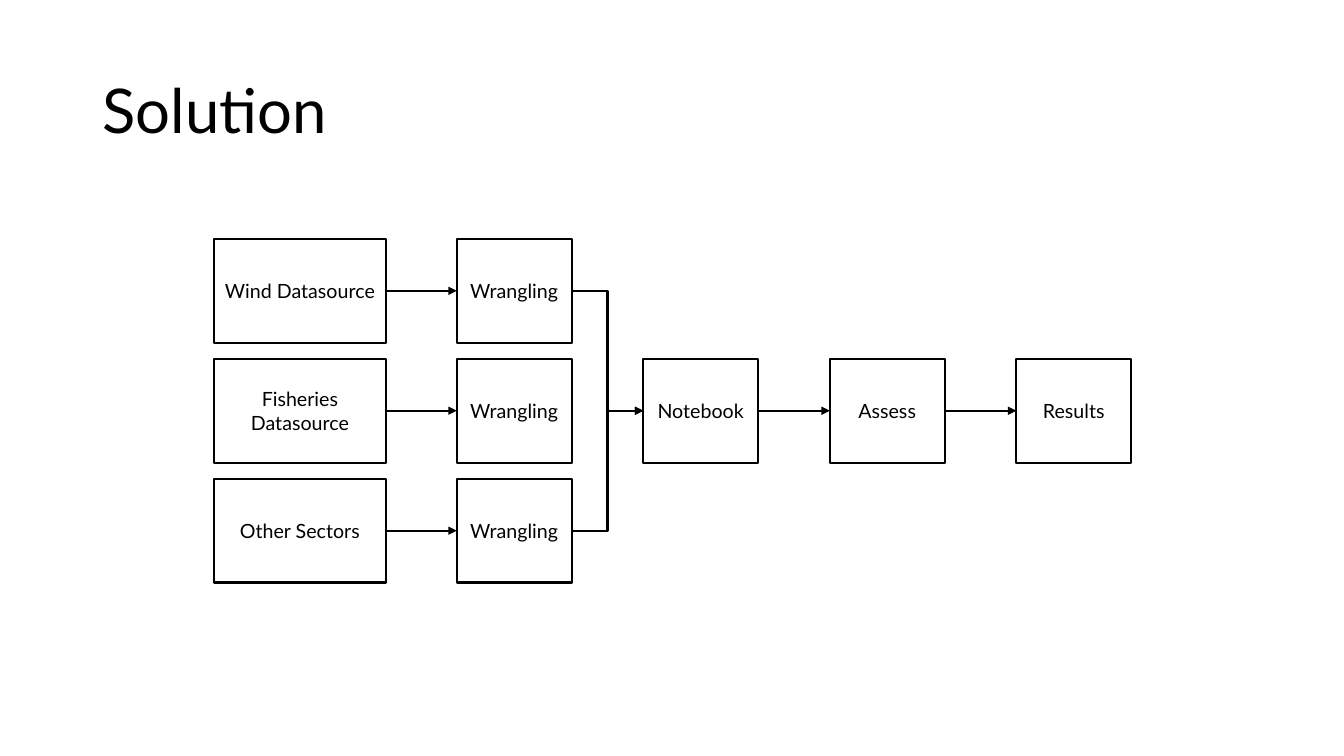
from dataclasses import dataclass

from pptx import Presentation
from pptx.dml.color import RGBColor
from pptx.enum.shapes import MSO_CONNECTOR, MSO_SHAPE
from pptx.enum.text import MSO_ANCHOR, PP_ALIGN
from pptx.oxml.ns import qn
from pptx.util import Inches, Pt
from lxml import etree

RECT = MSO_SHAPE.RECTANGLE
STRAIGHT, ELBOW = MSO_CONNECTOR.STRAIGHT, MSO_CONNECTOR.ELBOW
MIDDLE = MSO_ANCHOR.MIDDLE
LEFT, CENTER = PP_ALIGN.LEFT, PP_ALIGN.CENTER
LEFT_SIDE, RIGHT_SIDE = 1, 3


@dataclass(frozen=True)
class Theme:
    ink: RGBColor = RGBColor(0, 0, 0)
    paper: RGBColor = RGBColor(255, 255, 255)
    font: str = "Lato"
    title: Pt = Pt(44)
    label: Pt = Pt(14)
    line: Pt = Pt(1.5)


THEME = Theme()

# Flow grid, in inches
TOP, HEIGHT, ROW_STEP = 2.37, 1.03, 1.19
SOURCE_LEFT, SOURCE_WIDTH = 2.12, 1.71
STEP_LEFT, STEP_WIDTH, GAP = 4.53, 1.14, 0.71
SOURCES = ["Wind Datasource", "Fisheries Datasource", "Other Sectors"]
STAGES = ["Notebook", "Assess", "Results"]


def apply(target, values):
    for name, value in values.items():
        setattr(target, name, value)


def write(shape, text, size, align):
    frame = shape.text_frame
    apply(frame, {"word_wrap": True, "vertical_anchor": MIDDLE})
    para = frame.paragraphs[0]
    para.alignment = align
    run = para.add_run()
    run.text = text
    apply(run.font, {"name": THEME.font, "size": size})
    run.font.color.rgb = THEME.ink
    return para


def stroke(line):
    line.color.rgb = THEME.ink
    line.width = THEME.line


def add_title(slide, text):
    box = slide.shapes.add_textbox(
        Inches(0.92), Inches(0.4), Inches(11.5), Inches(1.45))
    write(box, text, THEME.title, LEFT).line_spacing = 0.9


def add_box(slide, text, left, row, width):
    box = slide.shapes.add_shape(
        RECT, Inches(left), Inches(TOP + row * ROW_STEP),
        Inches(width), Inches(HEIGHT))
    box.shadow.inherit = False
    box.fill.solid()
    box.fill.fore_color.rgb = THEME.paper
    stroke(box.line)
    write(box, text, THEME.label, CENTER)
    return box


def add_step(slide, text, column, row):
    left = STEP_LEFT + column * (STEP_WIDTH + GAP)
    return add_box(slide, text, left, row, STEP_WIDTH)


def add_arrow(slide, start, end, kind=STRAIGHT):
    arrow = slide.shapes.add_connector(kind, 0, 0, 0, 0)
    arrow.begin_connect(start, RIGHT_SIDE)
    arrow.end_connect(end, LEFT_SIDE)
    stroke(arrow.line)
    props = arrow.line._get_or_add_ln()
    etree.SubElement(props, qn("a:tailEnd"), type="triangle")
    etree.SubElement(arrow._element.spPr, qn("a:effectLst"))


def main():
    deck = Presentation()
    apply(deck, {"slide_width": Inches(13.33), "slide_height": Inches(7.5)})
    slide = deck.slides.add_slide(deck.slide_layouts[6])
    add_title(slide, "Solution")

    # Boxes
    sources = [add_box(slide, text, SOURCE_LEFT, row, SOURCE_WIDTH)
               for row, text in enumerate(SOURCES)]
    wranglers = [add_step(slide, "Wrangling", 0, row)
                 for row in range(len(SOURCES))]
    stages = [add_step(slide, text, column, 1)
              for column, text in enumerate(STAGES, 1)]

    # Outer rows merge into the first stage
    for wrangler in (wranglers[0], wranglers[-1]):
        add_arrow(slide, wrangler, stages[0], ELBOW)

    # Straight arrows
    for source, wrangler in zip(sources, wranglers):
        add_arrow(slide, source, wrangler)
    for start, end in zip(stages, stages[1:]):
        add_arrow(slide, start, end)

    deck.save("out.pptx")


if __name__ == "__main__":
    main()
